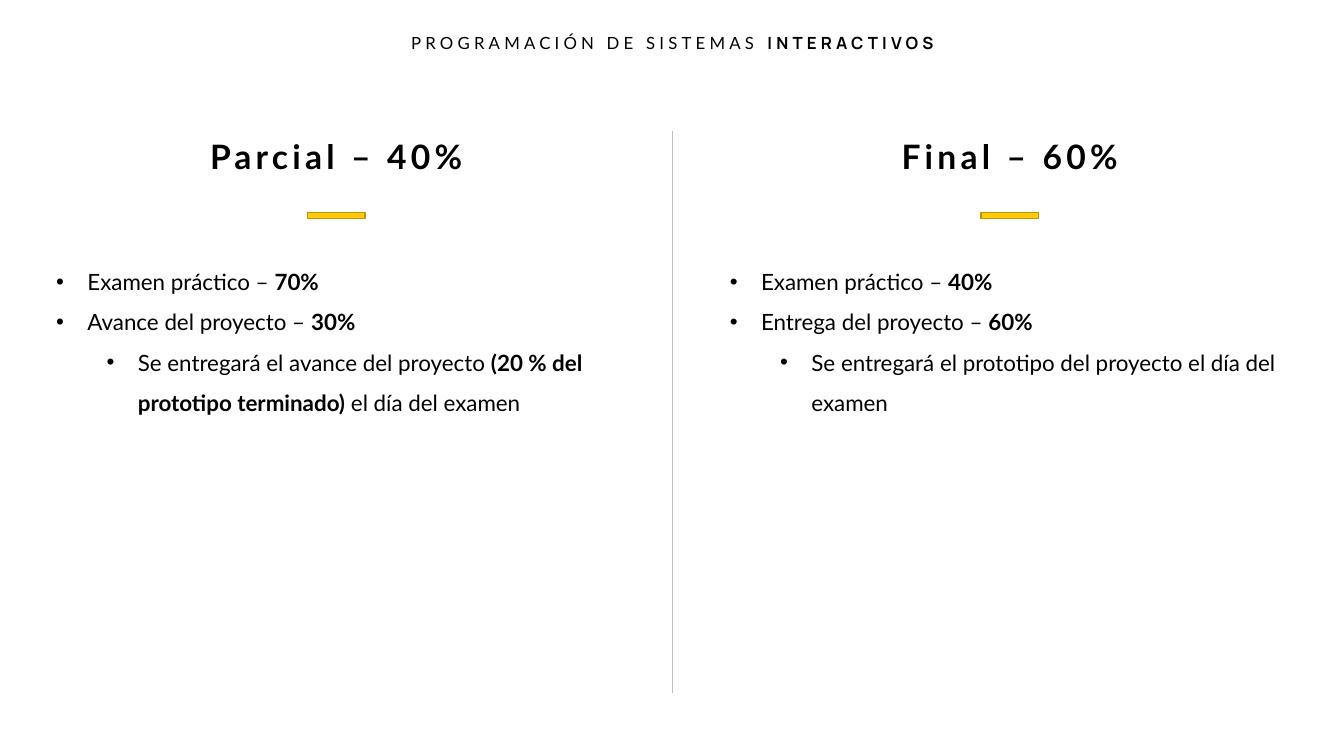
from dataclasses import dataclass

from lxml import etree
from pptx import Presentation
from pptx import util as u
from pptx.dml.color import RGBColor
from pptx.enum import shapes, text
from pptx.oxml.ns import qn


@dataclass(frozen=True)
class Theme:
    ink: RGBColor = RGBColor(0x00, 0x00, 0x00)
    accent: RGBColor = RGBColor(0xFF, 0xCA, 0x08)
    accent_edge: RGBColor = RGBColor(0xBD, 0x95, 0x06)
    divider: RGBColor = RGBColor(0xBF, 0xBF, 0xBF)
    body_font: str = "Lato"
    brand_font: str = "Manrope"
    header_size: int = 12
    title_size: int = 24
    body_size: int = 16
    tracking: int = 3


THEME = Theme()
COLUMN_LEFTS = (0.46, 7.14)
COLUMN_WIDTH = 5.73
COLUMNS = (
    ("Parcial – 40%", (
        (0, (("Examen práctico – ", False), ("70%", True))),
        (0, (("Avance del proyecto – ", False), ("30%", True))),
        (1, (("Se entregará el avance del proyecto ", False),
             ("(20 % del prototipo terminado)", True),
             (" el día del examen", False))),
    )),
    ("Final – 60%", (
        (0, (("Examen práctico – ", False), ("40%", True))),
        (0, (("Entrega del proyecto – ", False), ("60%", True))),
        (1, (("Se entregará el prototipo del proyecto el día del examen", False),)),
    )),
)


def add_text_box(slide, left, top, width, height):
    box = slide.shapes.add_textbox(*map(u.Inches, (left, top, width, height)))
    frame = box.text_frame
    frame.word_wrap = True
    frame.auto_size = text.MSO_AUTO_SIZE.SHAPE_TO_FIT_TEXT
    return frame


def add_run(paragraph, content, size, bold=False, font=THEME.body_font, tracking=0):
    run = paragraph.add_run()
    run.text = content
    run.font.name = font
    run.font.size = u.Pt(size)
    run.font.bold = bold
    run.font.color.rgb = THEME.ink
    if tracking:
        run.font._element.set("spc", str(tracking * 100))


def add_header(slide):
    paragraph = add_text_box(slide, 3.83, 0.28, 5.68, 0.3).paragraphs[0]
    paragraph.alignment = text.PP_ALIGN.CENTER
    add_run(paragraph, "PROGRAMACIÓN DE SISTEMAS ", THEME.header_size,
            tracking=THEME.tracking)
    add_run(paragraph, "INTERACTIVOS", THEME.header_size, True,
            THEME.brand_font, THEME.tracking)


def add_divider(slide):
    line = slide.shapes.add_connector(
        shapes.MSO_CONNECTOR.STRAIGHT,
        *map(u.Inches, (6.67, 1.3, 6.67, 6.88)))
    line.line.color.rgb = THEME.divider
    line.line.width = u.Pt(0.5)
    etree.SubElement(line._element.spPr, qn("a:effectLst"))


def add_title(slide, center, title):
    width = 4.84
    paragraph = add_text_box(slide, center - width / 2, 1.3, width, 0.5).paragraphs[0]
    paragraph.alignment = text.PP_ALIGN.CENTER
    add_run(paragraph, title, THEME.title_size, True, tracking=THEME.tracking)


def add_accent_bar(slide, center):
    width = 0.57
    bar = slide.shapes.add_shape(
        shapes.MSO_SHAPE.RECTANGLE,
        *map(u.Inches, (center - width / 2, 2.11, width, 0.06)))
    bar.shadow.inherit = False
    bar.fill.solid()
    bar.fill.fore_color.rgb = THEME.accent
    bar.line.color.rgb = THEME.accent_edge
    bar.line.width = u.Pt(1)


def set_bullet(paragraph, level):
    properties = paragraph._p.get_or_add_pPr()
    properties.set("marL", str(u.Inches(0.31 + 0.5 * level)))
    properties.set("indent", str(u.Inches(-0.31)))
    etree.SubElement(properties, qn("a:buFont"), typeface="Arial")
    etree.SubElement(properties, qn("a:buChar"), char="•")
    paragraph.level = level
    paragraph.line_spacing = 1.5


def add_bullet_list(slide, left, items):
    frame = add_text_box(slide, left, 2.48, COLUMN_WIDTH, 1.66)
    for index, (level, runs) in enumerate(items):
        paragraph = frame.add_paragraph() if index else frame.paragraphs[0]
        set_bullet(paragraph, level)
        for content, bold in runs:
            add_run(paragraph, content, THEME.body_size, bold)


def add_column(slide, left, title, items):
    center = left + COLUMN_WIDTH / 2 + 0.01
    add_title(slide, center, title)
    add_accent_bar(slide, center)
    add_bullet_list(slide, left, items)


def main():
    presentation = Presentation()
    presentation.slide_width = u.Inches(13.33)
    presentation.slide_height = u.Inches(7.5)
    slide = presentation.slides.add_slide(presentation.slide_layouts[6])
    add_header(slide)
    add_divider(slide)
    for left, (title, items) in zip(COLUMN_LEFTS, COLUMNS):
        add_column(slide, left, title, items)
    presentation.save("out.pptx")


if __name__ == "__main__":
    main()
